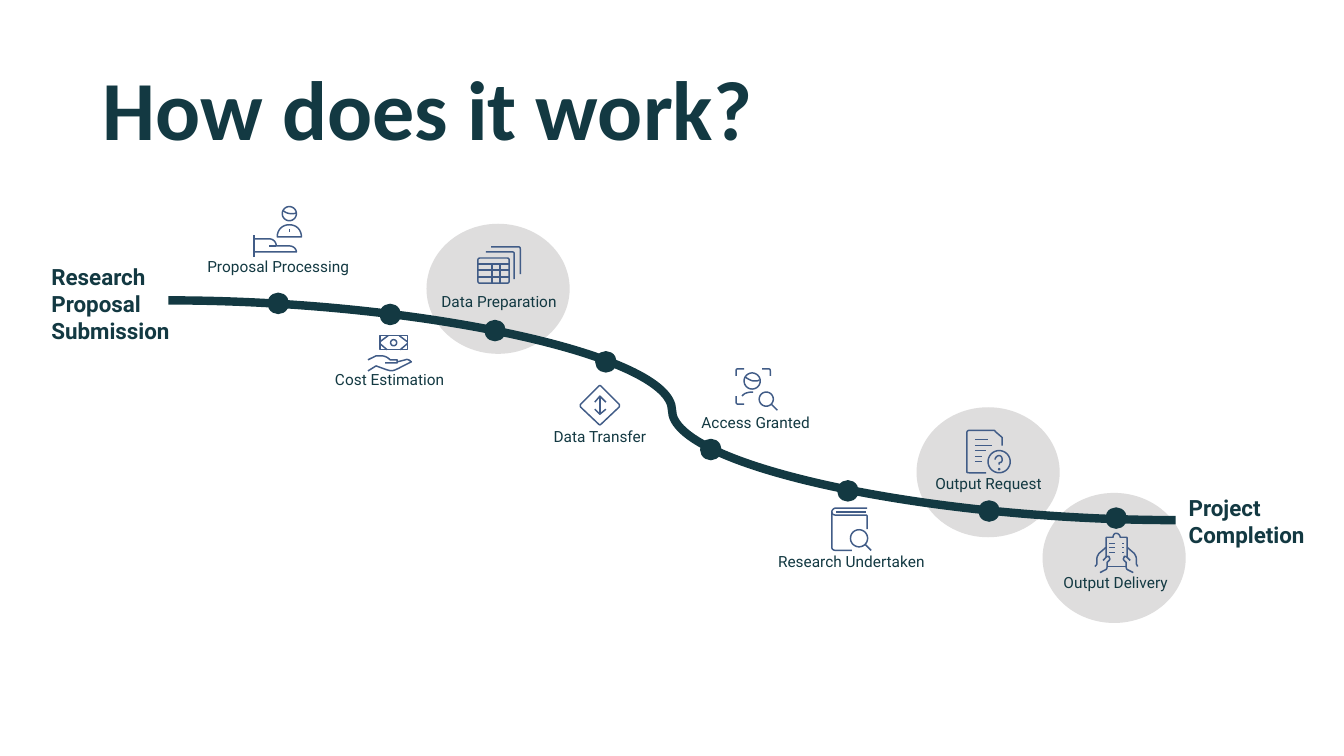
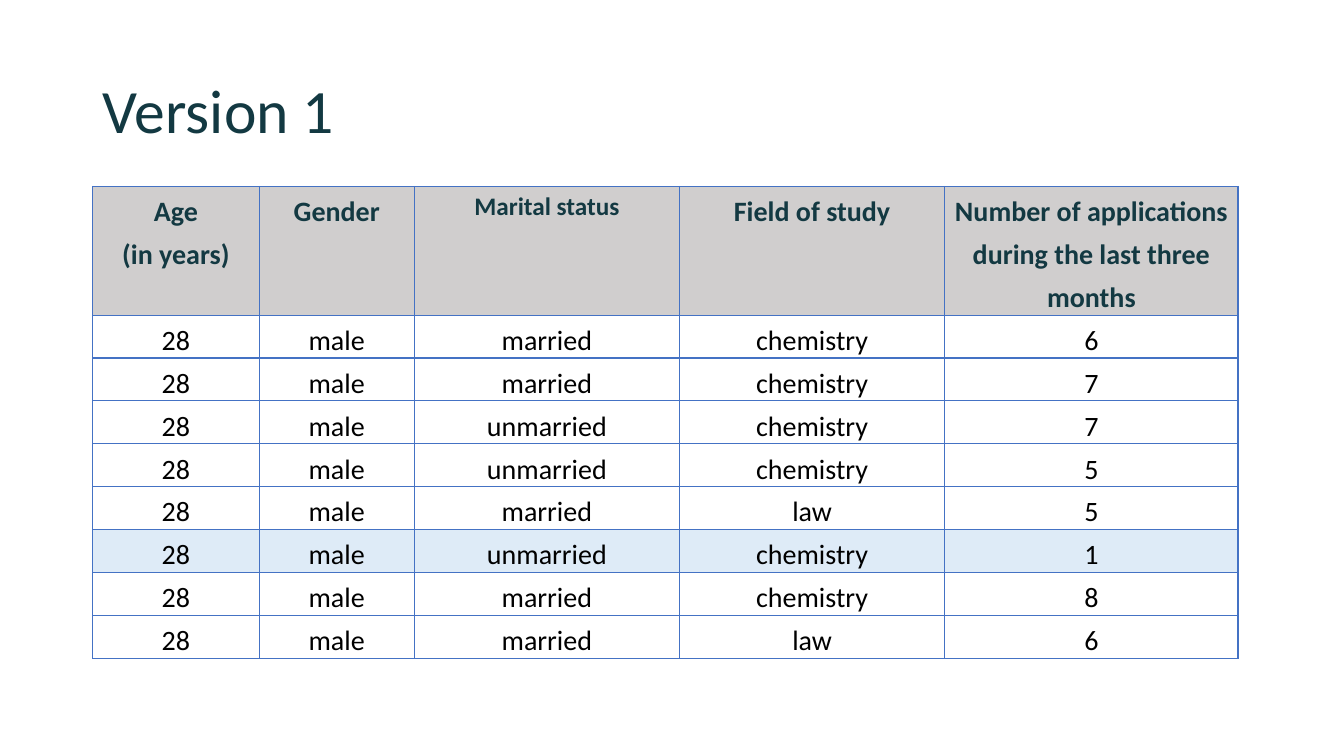
from collections import namedtuple
from dataclasses import dataclass
from math import cos, pi, sin

from pptx import Presentation
from pptx.dml.color import RGBColor
from pptx.enum.shapes import MSO_CONNECTOR, MSO_SHAPE
from pptx.enum.text import MSO_ANCHOR, MSO_AUTO_SIZE, PP_ALIGN
from pptx.oxml.ns import qn
from pptx.util import Inches, Pt
from lxml.etree import SubElement


@dataclass(frozen=True)
class Theme:
    ink: str = "133942"
    black: str = "000000"
    icon: str = "415C87"
    halo: str = "767171"
    header: str = "D0CECE"
    highlight: str = "DEEBF7"
    border: str = "4472C4"
    title_font: str = "Calibri"
    label_font: str = "Roboto"
    hero: int = 60
    title: int = 44
    cell: int = 20
    cell_small: int = 18
    endpoint: int = 16
    label: int = 11


THEME = Theme()


def rgb(color):
    return RGBColor.from_string(color)


# Icon outlines: pen commands in hundredths of an inch
# M move, L line, C Bezier curve, O circle (centre, radius), Z close
PEN_ARGS = {"M": 2, "L": 2, "C": 6, "O": 3}

PERSON_ON_HAND = """M 0 50 L 0 28 M 0 32 L 15 32 C 19 32 22 35 22 39 L 35 39
    C 39 39 42 42 42 45 L 0 45 Z M 15 39 L 22 39
    M 47 30 C 47 23 42 18 35 18 28 18 23 23 23 30 Z
    M 42 6 C 41 7 39 7 37 7 34 7 31 6 29 4 O 35 7 7 M 35 25 L 35 22"""
MONEY_ON_HAND = """M 29 26 L 37 24 C 39 23 41 24 43 26 20 37 28 37 8 30 L 0 35
    M 17 27 L 27 27 C 28 27 29 27 29 27 29 26 29 25 29 24 29 24 28 24 27 24
    L 22 24 C 19 21 16 20 13 20 L 8 20 0 24 M 12 0 L 39 0 39 14 12 14 Z
    M 31 0 L 39 6 M 32 14 L 39 8 M 12 8 L 19 14 M 12 6 L 20 0 O 25.5 7 3"""
TABLES = """M 2 11 L 29 11 C 29 11 31 11 31 13 L 31 34 C 31 34 31 36 29 36
    L 2 36 C 2 36 0 36 0 34 L 0 13 C 0 13 0 11 2 11
    M 0 17 L 31 17 M 0 30 L 31 30 M 0 23 L 31 23 M 14 17 L 14 36 M 22 17 L 22 36
    M 8 5 L 34 5 C 36 5 36 6 36 7 L 36 32 M 13 0 L 40 0 C 41 0 42 0 42 2 L 42 27"""
DIAMOND_ARROW = """M 1 19 L 19 1 C 19 1 20 0 21 1 L 39 19 C 39 19 40 20 39 22
    L 21 39 C 21 39 20 40 19 39 L 1 22 C 1 22 0 20 1 19
    M 20 11 L 20 29 M 15 17 L 20 11 26 17 M 15 24 L 20 29 26 24"""
FACE_SEARCH = """M 2 9 L 2 4 C 2 2 3 2 4 2 L 10 2 M 36 9 L 36 4 C 36 2 35 2 34 2 L 28 2
    M 2 29 L 2 35 C 2 36 3 37 4 37 L 10 37 M 25 13 C 24 14 22 14 20 14 17 14 14 12 11 10
    O 18 14 8 M 19 25 L 18 25 C 14 25 10 26 8 29 O 32 32 7 M 37 37 L 43 43"""
BOOK_SEARCH = """M 20 42 L 4 42 C 2 42 0 41 0 39 L 0 4
    M 35 0 L 4 0 C 2 0 0 2 0 4 0 6 2 7 4 7 L 34 7 C 35 7 35 8 35 9 L 35 21
    M 34 4 L 4 4 O 27 30 8.5 M 39 42 L 33 36"""
PAGE_QUESTION = """M 8 15 L 25 15 M 8 20 L 19 20 M 8 9 L 21 9 M 8 26 L 15 26 M 8 31 L 15 31
    M 19 42 L 2 42 C 1 42 0 42 0 41 L 0 2 C 0 1 1 0 2 0 L 27 0 C 27 0 28 0 28 1
    L 35 7 C 35 8 35 8 35 9 L 35 15 O 32 31 11
    M 32 34 L 32 32 C 34 32 35 31 35 29 35 27 34 25 32 25 30 25 28 27 28 29 O 32 38.5 0.5"""
HANDS_CLIPBOARD = """M 39 41 L 33 38 C 32 37 32 36 32 35 L 32 31 30 29 C 29 28 29 27 30 26
    L 30 25 C 31 25 32 25 33 26 L 36 29
    M 33 16 L 40 22 C 41 24 42 25 42 27 L 42 31 C 42 32 42 33 43 34 L 43 35
    M 9 29 L 12 26 C 12 25 14 25 15 25 15 26 15 26 15 26 16 27 16 28 15 29
    L 13 31 13 35 C 13 36 13 37 12 38 L 6 41
    M 1 35 L 2 34 C 3 33 3 32 3 31 L 3 27 C 3 25 4 24 5 22 L 12 16
    M 33 26 L 33 7 C 33 7 33 6 32 6 L 26 6 C 26 4 24 2 22 2 20 2 19 4 19 6
    L 13 6 C 12 6 12 7 12 7 L 12 26 M 13 35 L 32 35
    M 15 12 L 21 12 M 28 12 L 30 12 M 15 16 L 21 16 M 28 16 L 30 16
    M 15 21 L 21 21 M 28 21 L 30 21"""


def bezier(p0, p1, p2, p3, steps=8):
    for i in range(1, steps + 1):
        t = i / steps
        u = 1 - t
        yield tuple(u**3 * a + 3 * u * u * t * b + 3 * u * t * t * c + t**3 * d
                    for a, b, c, d in zip(p0, p1, p2, p3))


def pen_strokes(outline):
    """Turn pen commands into lists of points, one list a stroke."""
    tokens = outline.split()
    strokes, i, op = [], 0, "M"
    while i < len(tokens):
        if tokens[i].isalpha():
            op = tokens[i]
            i += 1
        if op == "Z":
            strokes[-1].append(strokes[-1][0])
            continue
        n = PEN_ARGS[op]
        args = [float(v) for v in tokens[i:i + n]]
        i += n
        if op == "M":
            strokes.append([tuple(args)])
        elif op == "L":
            strokes[-1].append(tuple(args))
        elif op == "C":
            controls = zip(args[::2], args[1::2])
            strokes[-1].extend(bezier(strokes[-1][-1], *controls))
        else:
            cx, cy, radius = args
            angles = [2 * pi * k / 32 for k in range(33)]
            strokes.append([(cx + radius * cos(a), cy + radius * sin(a)) for a in angles])
    return strokes


class Deck:
    def __init__(self, theme):
        self.theme = theme
        self.prs = Presentation()
        self.prs.slide_width, self.prs.slide_height = Inches(13.33), Inches(7.5)
        self.s = None

    def add_slide(self, title, size, bold=False):
        self.s = self.prs.slides.add_slide(self.prs.slide_layouts[5])
        sp = self.s.shapes.title
        sp.left, sp.top, sp.width, sp.height = (Inches(v) for v in (0.92, 0.4, 11.5, 1.45))
        tf = sp.text_frame
        tf.auto_size = MSO_AUTO_SIZE.NONE
        tf.vertical_anchor = MSO_ANCHOR.MIDDLE
        p = tf.paragraphs[0]
        p.line_spacing = 0.9
        self.runs(p, title, self.theme.title_font, size, bold, align=PP_ALIGN.LEFT)

    def runs(self, p, text, font, size, bold=False, color=None, align=PP_ALIGN.CENTER):
        p.alignment = align
        for i, line in enumerate(text.split("\n")):
            if i:
                p.add_line_break()
            r = p.add_run()
            r.text = line
            r.font.name, r.font.size, r.font.bold = font, Pt(size), bold
            r.font.color.rgb = rgb(color or self.theme.ink)

    def text(self, x, y, w, h, text, size, bold=False, align=PP_ALIGN.CENTER, wrap=False):
        sp = self.s.shapes.add_textbox(Inches(x), Inches(y), Inches(w), Inches(h))
        tf = sp.text_frame
        tf.margin_left = tf.margin_right = tf.margin_top = tf.margin_bottom = 0
        tf.word_wrap = wrap
        tf.auto_size = MSO_AUTO_SIZE.SHAPE_TO_FIT_TEXT
        self.runs(tf.paragraphs[0], text, self.theme.label_font, size, bold, align=align)

    def ellipse(self, x, y, w, h, color, opacity=None):
        sp = self.s.shapes.add_shape(MSO_SHAPE.OVAL, Inches(x), Inches(y), Inches(w), Inches(h))
        sp.shadow.inherit = False
        sp.fill.solid()
        sp.fill.fore_color.rgb = rgb(color)
        if opacity is None:
            sp.line.color.rgb = rgb(color)
            sp.line.width = Pt(1)
        else:
            sp.line.fill.background()
            clr = sp._element.spPr.find(qn("a:solidFill"))[0]
            SubElement(clr, qn("a:alpha"), val=str(opacity * 1000))

    def curve(self, x1, y1, x2, y2, width):
        cxn = self.s.shapes.add_connector(
            MSO_CONNECTOR.CURVE, Inches(x1), Inches(y1), Inches(x2), Inches(y2))
        cxn.line.color.rgb = rgb(self.theme.ink)
        cxn.line.width = Pt(width)
        SubElement(cxn._element.spPr, qn("a:effectLst"))

    def icon(self, x, y, outline):
        strokes = [[(Inches(x + px / 100), Inches(y + py / 100)) for px, py in stroke]
                   for stroke in pen_strokes(outline)]
        builder = self.s.shapes.build_freeform(*strokes[0][0], scale=1.0)
        for i, stroke in enumerate(strokes):
            if i:
                builder.move_to(*stroke[0])
            builder.add_line_segments(stroke[1:], close=False)
        sp = builder.convert_to_shape()
        sp.shadow.inherit = False
        sp.fill.background()
        sp.line.color.rgb = rgb(self.theme.icon)
        sp.line.width = Pt(1.04)

    def cell(self, cell, text, fill=None, size=None, bold=False, color=None, compact=False):
        if not compact:
            cell.margin_left = cell.margin_right = Inches(0.05)
            cell.margin_top = cell.margin_bottom = 0
        tcPr = cell._tc.get_or_add_tcPr()
        for side in ("a:lnL", "a:lnR", "a:lnT", "a:lnB"):
            ln = SubElement(tcPr, qn(side), w=str(Pt(1)))
            solid = SubElement(ln, qn("a:solidFill"))
            SubElement(solid, qn("a:srgbClr"), val=self.theme.border)
        if fill:
            cell.fill.solid()
            cell.fill.fore_color.rgb = rgb(fill)
        else:
            cell.fill.background()
        p = cell.text_frame.paragraphs[0]
        if not compact:
            p.line_spacing, p.space_after = 1.25, Pt(6)
        self.runs(p, text, self.theme.title_font, size or self.theme.cell, bold, color)

    def table(self, x, y, widths, header_height, row_height, header, rows, marked, compact_col):
        th = self.theme
        height = header_height + row_height * len(rows)
        tbl = self.s.shapes.add_table(len(rows) + 1, len(widths), Inches(x), Inches(y),
                                      Inches(sum(widths)), Inches(height)).table
        tbl.first_row = tbl.horz_banding = False
        for col, width in zip(tbl.columns, widths):
            col.width = Inches(width)
        for i, row in enumerate(tbl.rows):
            row.height = Inches(row_height if i else header_height)
        for c, text in enumerate(header):
            compact = c == compact_col
            self.cell(tbl.cell(0, c), text, th.header, th.cell_small if compact else th.cell,
                      bold=True, compact=compact)
        for r, values in enumerate(rows, 1):
            fill = th.highlight if r == marked else None
            for c, text in enumerate(values):
                self.cell(tbl.cell(r, c), text, fill, color=th.black)


# Each step: label (left, top, width), icon corner, dot corner, halo corner
Step = namedtuple("Step", "name label icon outline dot halo", defaults=[None])
STEPS = [
    Step("Proposal Processing", (2.05, 2.55, 1.42), (2.52, 2.05), PERSON_ON_HAND, (2.66, 2.91)),
    Step("Cost Estimation", (3.32, 3.67, 1.09), (3.65, 3.33), MONEY_ON_HAND, (3.77, 3.02)),
    Step("Data Preparation", (4.37, 2.9, 1.16), (4.74, 2.45), TABLES, (4.81, 3.18), (4.23, 2.22)),
    Step("Data Transfer", (5.48, 4.24, 0.94), (5.75, 3.82), DIAMOND_ARROW, (5.91, 3.49)),
    Step("Access Granted", (6.95, 4.1, 1.09), (7.28, 3.64), FACE_SEARCH, (6.95, 4.36)),
    Step("Research Undertaken", (7.71, 5.48, 1.47), (8.25, 5.04), BOOK_SEARCH, (8.31, 4.77)),
    Step("Output Request", (9.27, 4.7, 1.07), (9.59, 4.27), PAGE_QUESTION, (9.71, 4.97),
         (9.09, 4.04)),
    Step("Output Delivery", (10.54, 5.69, 1.05), (10.85, 5.27), HANDS_CLIPBOARD, (10.97, 5.04),
         (10.34, 4.89)),
]

HEADER = ["Age\n(in years)", "Gender", "Marital status", "Field of study",
          "Number of applications during the last three months"]
APPLICANTS = [("28", "male", *rest) for rest in (
    ("married", "chemistry", "6"),
    ("married", "chemistry", "7"),
    ("unmarried", "chemistry", "7"),
    ("unmarried", "chemistry", "5"),
    ("married", "law", "5"),
    ("unmarried", "chemistry", "1"),
    ("married", "chemistry", "8"),
    ("married", "law", "6"),
)]


def main():
    deck = Deck(THEME)

    # Process timeline
    deck.add_slide("How does it work?", THEME.hero, bold=True)
    for step in STEPS:
        if step.halo:
            deck.ellipse(*step.halo, 1.42, 1.29, THEME.halo, opacity=24)
    deck.curve(1.67, 2.98, 11.66, 5.16, 6)
    for step in STEPS:
        deck.text(*step.label, 0.19, step.name, THEME.label)
        deck.icon(*step.icon, step.outline)
        deck.ellipse(*step.dot, 0.2, 0.2, THEME.ink)
    deck.text(0.51, 2.61, 1.19, 0.81, "Research Proposal\nSubmission", THEME.endpoint,
              bold=True, align=PP_ALIGN.LEFT, wrap=True)
    deck.text(11.79, 4.9, 1.16, 0.54, "Project\nCompletion", THEME.endpoint,
              bold=True, align=PP_ALIGN.LEFT)

    # Applicant table
    deck.add_slide("Version 1", THEME.title)
    deck.table(0.92, 1.85, [1.65, 1.54, 2.63, 2.63, 2.91], 1.27, 0.42,
               HEADER, APPLICANTS, marked=6, compact_col=2)

    deck.prs.save("out.pptx")


if __name__ == "__main__":
    main()
